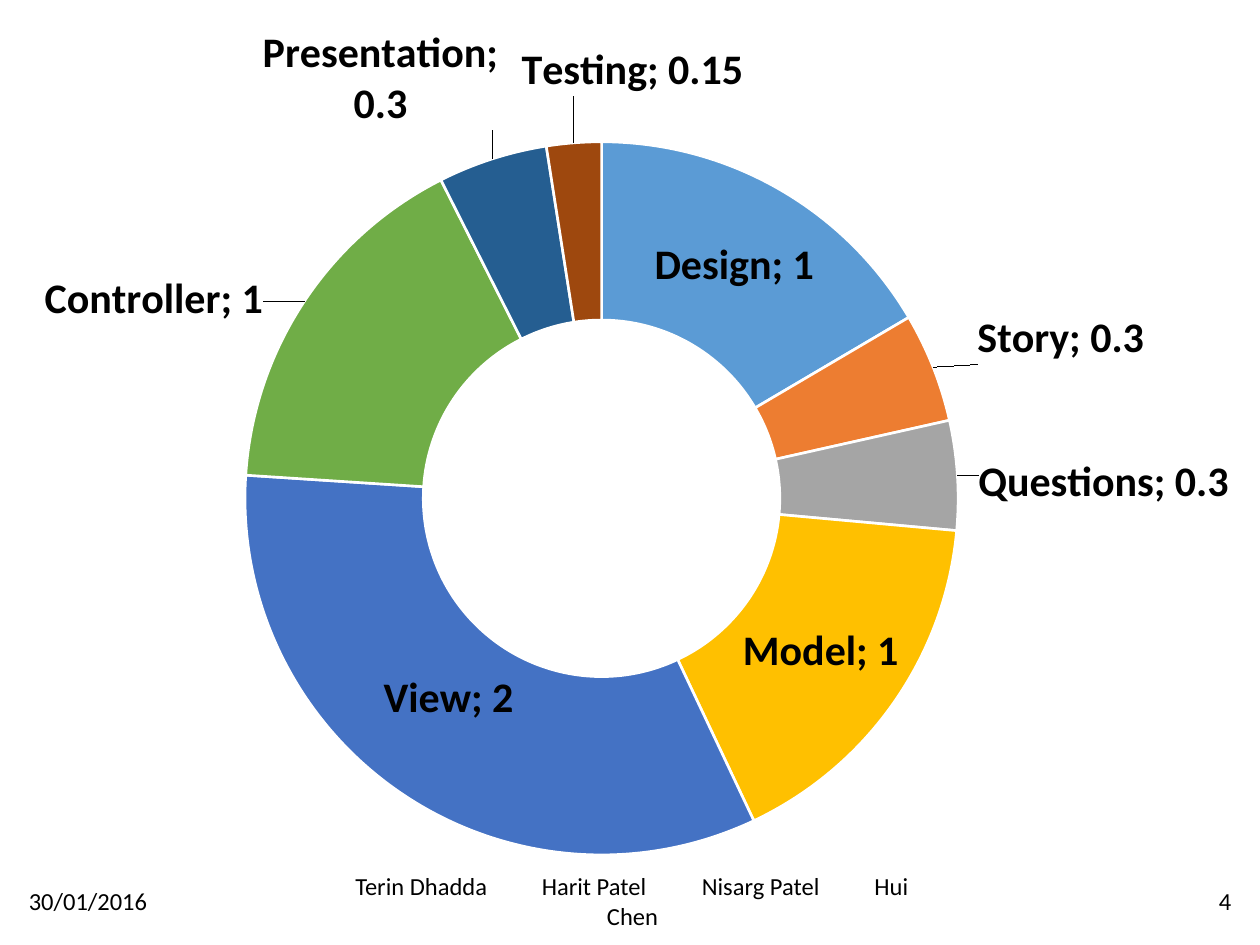
from copy import deepcopy
from math import sin, cos, pi

from lxml import etree
from pptx import Presentation
from pptx.chart.data import CategoryChartData
from pptx.dml.color import RGBColor
from pptx.enum import chart as ch, text as tx
from pptx.oxml import parse_xml
from pptx.oxml.ns import nsdecls, qn
from pptx.util import Inches, Pt

# Content: task, hours, colour, label centre in inches (None: on its slice)
TASKS = [
    ("Design", 1, "5B9BD5", None),
    ("Story", 0.3, "ED7D31", (8.42, 2.69)),
    ("Questions", 0.3, "A5A5A5", (8.76, 3.83)),
    ("Model", 1, "FFC000", None),
    ("View", 2, "4472C4", (3.56, 5.55)),
    ("Controller", 1, "70AD47", (1.22, 2.38)),
    ("Presentation", 0.3, "255E91", (3.02, 0.63)),
    ("Testing", 0.15, "9E480E", (5.02, 0.56)),
]
ALIGN = tx.PP_ALIGN
# Footer: left, width, side inset, paragraphs with their alignment
FOOTER = [
    (0.13, 2.25, 0.1, [("30/01/2016", ALIGN.LEFT)]),
    (2.5, 5.04, 0.32, [("Terin Dhadda\tHarit Patel\tNisarg Patel\tHui", ALIGN.LEFT),
                       ("Chen", ALIGN.CENTER)]),
    (7.62, 2.25, 0.1, [("4", ALIGN.RIGHT)]),
]
TABS = (1.48, 2.75, 4.12)
THEME = dict(font="Calibri", ink="000000", edge="FFFFFF", label=24, small=14)
CHART = (-0.45, 0.13, 10.45, 6.82)
PLOT = dict(x=0.229, y=0.146, w=0.542, h=0.83)


def style(font, size, bold=False):
    font.name, font.size, font.bold = THEME["font"], Pt(size), bold
    font.color.rgb = RGBColor.from_string(THEME["ink"])


def layout(modes, **box):
    parts = modes + "".join(f'<c:{k} val="{v:.4f}"/>' for k, v in box.items())
    return parse_xml(f'<c:layout {nsdecls("c")}><c:manualLayout>{parts}'
                     '</c:manualLayout></c:layout>')


prs = Presentation()
prs.slide_width, prs.slide_height = Inches(10), Inches(7.5)
slide = prs.slides.add_slide(prs.slide_layouts[6])

# Footer
for left, width, inset, lines in FOOTER:
    box = slide.shapes.add_textbox(Inches(left), Inches(6.95), Inches(width), Inches(0.4))
    frame = box.text_frame
    frame.word_wrap = True
    frame.vertical_anchor = tx.MSO_ANCHOR.MIDDLE
    frame.margin_left = frame.margin_right = Inches(inset)
    frame.text = "\n".join(line for line, _ in lines)
    for para, (line, align) in zip(frame.paragraphs, lines):
        para.alignment = align
        for run in para.runs:
            style(run.font, THEME["small"])
        if "\t" in line:
            stops = etree.SubElement(para._p.get_or_add_pPr(), qn("a:tabLst"))
            for pos in TABS:
                etree.SubElement(stops, qn("a:tab"), pos=str(Inches(pos)), algn="l")

# Doughnut chart
data = CategoryChartData()
data.categories = [task[0] for task in TASKS]
data.add_series("Series 1", [task[1] for task in TASKS])
chart = slide.shapes.add_chart(ch.XL_CHART_TYPE.DOUGHNUT,
                               *(Inches(n) for n in CHART), data).chart
chart.has_legend = chart.has_title = False
style(chart.font, THEME["small"], True)
plot = chart.plots[0]
plot.vary_by_categories = True
series = plot.series[0]

area = chart._chartSpace.find(".//" + qn("c:plotArea"))
for old in area.findall(qn("c:layout")):
    area.remove(old)
area.insert(0, layout('<c:layoutTarget val="inner"/><c:xMode val="edge"/>'
                      '<c:yMode val="edge"/>', **PLOT))

# Labels
labels = series.data_labels
labels.show_value = labels.show_category_name = True
style(labels.font, THEME["label"], True)
root = labels._element
gap = etree.Element(qn("c:separator"))
gap.text = "; "
root.find(qn("c:showBubbleSize")).addnext(gap)
shared = [deepcopy(part) for part in root if part.tag != qn("c:showLeaderLines")]

# Slices, with moved labels offset from the middle of the ring
left, top, wide, high = CHART
mid_x = left + wide * (PLOT["x"] + PLOT["w"] / 2)
mid_y = top + high * (PLOT["y"] + PLOT["h"] / 2)
ring = 0.75 * min(wide * PLOT["w"], high * PLOT["h"]) / 2
total = sum(task[1] for task in TASKS)
done = spot = 0
for i, (name, hours, color, place) in enumerate(TASKS):
    form = series.points[i].format
    form.fill.solid()
    form.fill.fore_color.rgb = RGBColor.from_string(color)
    form.line.color.rgb = RGBColor.from_string(THEME["edge"])
    form.line.width = Pt(1.5)
    turn = 2 * pi * (done + hours / 2) / total
    done += hours
    if place:
        label = parse_xml(f'<c:dLbl {nsdecls("c")}><c:idx val="{i}"/></c:dLbl>')
        label.append(layout("", x=(place[0] - mid_x - ring * sin(turn)) / wide,
                            y=(place[1] - mid_y + ring * cos(turn)) / high))
        label.extend(deepcopy(shared))
        root.insert(spot, label)
        spot += 1

prs.save("out.pptx")
